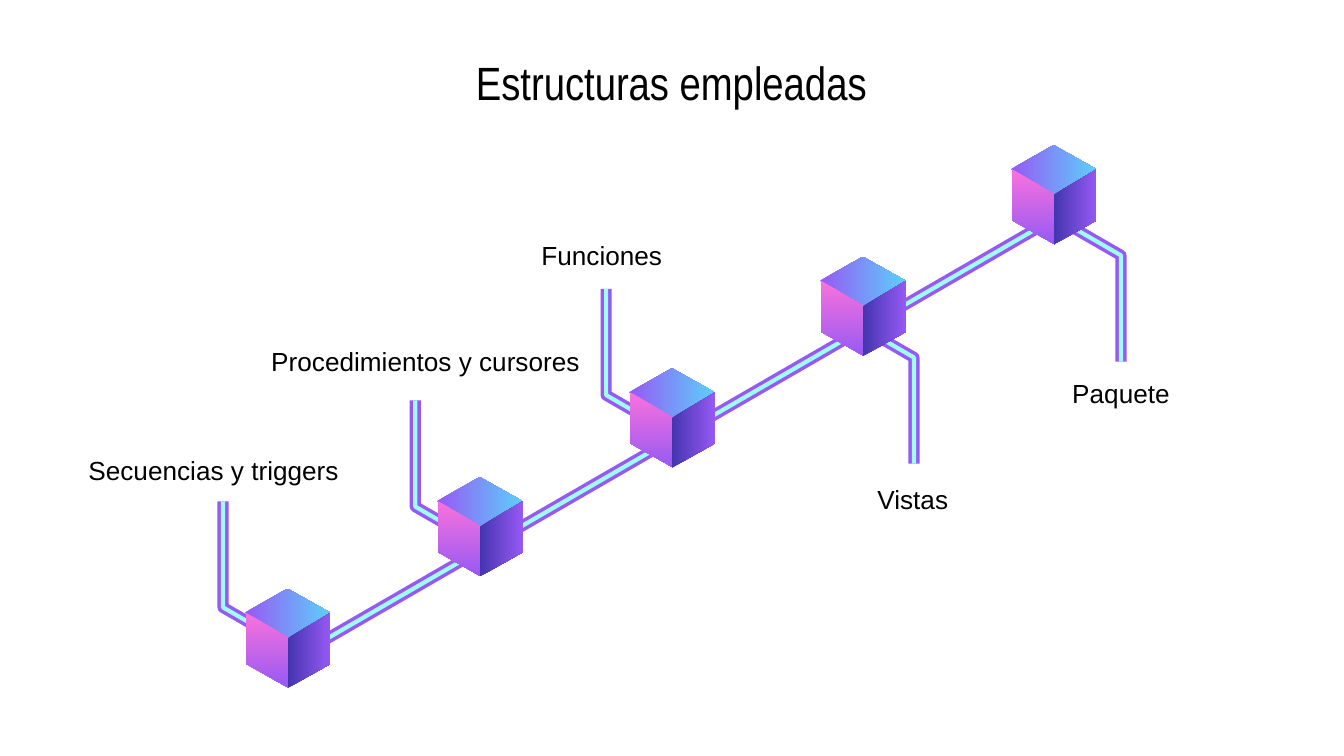
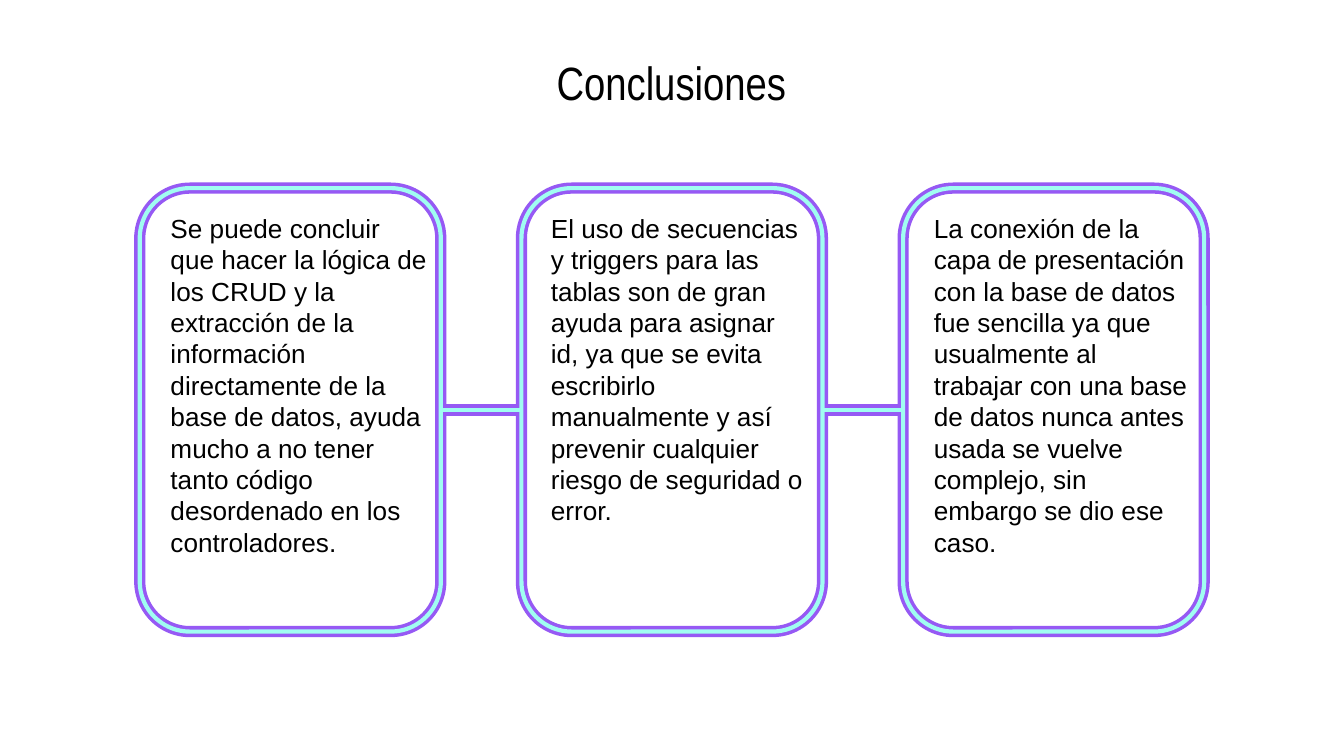
from lxml.etree import SubElement
from pptx import Presentation
from pptx.dml.color import RGBColor
from pptx.enum.shapes import MSO_CONNECTOR, MSO_SHAPE
from pptx.enum.text import MSO_ANCHOR, MSO_AUTO_SIZE, PP_ALIGN
from pptx.oxml.ns import qn
from pptx.util import Inches, Pt

BLACK = RGBColor(0x00, 0x00, 0x00)
PURPLE = RGBColor(0x96, 0x59, 0xF4)
AQUA = RGBColor(0xA0, 0xFD, 0xF1)
SKY = RGBColor(0x5C, 0xCF, 0xFB)
PINK = RGBColor(0xFA, 0x72, 0xDC)
INDIGO = RGBColor(0x43, 0x35, 0xAF)

# A wide purple line with a thin aqua one on top of it
STROKES = [(PURPLE, 6), (AQUA, 2.25)]


def set_stroke(shape, color, width):
    """Give a shape or connector a plain line without a shadow."""
    shape.line.color.rgb = color
    shape.line.width = Pt(width)
    SubElement(shape._element.spPr, qn("a:effectLst"))


def add_text(slide, text, left, top, width, height):
    box = slide.shapes.add_textbox(Inches(left), Inches(top), Inches(width), Inches(height))
    frame = box.text_frame
    frame.word_wrap = True
    frame.auto_size = MSO_AUTO_SIZE.SHAPE_TO_FIT_TEXT
    frame.text = text
    font = frame.paragraphs[0].runs[0].font
    font.name = "Arial"
    font.size = Pt(14)
    font.color.rgb = BLACK


# Widescreen, 16:9
prs = Presentation()
prs.slide_width = Inches(10)
prs.slide_height = Inches(10 * 9 / 16)

for heading in ("Estructuras empleadas", "Conclusiones"):
    title = prs.slides.add_slide(prs.slide_layouts[5]).shapes.title
    title.left, title.top = Inches(0.56), Inches(0.33)
    title.width, title.height = Inches(8.87), Inches(0.56)
    frame = title.text_frame
    frame.text = heading
    frame.auto_size = MSO_AUTO_SIZE.NONE
    frame.vertical_anchor = MSO_ANCHOR.MIDDLE
    frame.margin_left = frame.margin_right = Inches(0.1)
    frame.margin_top = frame.margin_bottom = Inches(0.1)
    paragraph = frame.paragraphs[0]
    paragraph.alignment = PP_ALIGN.CENTER
    font = paragraph.runs[0].font
    font.name = "Arial Narrow"
    font.size = Pt(25)
    font.color.rgb = BLACK

structures, conclusions = prs.slides

# Slide 1: branches, each given by label, label corner, branch corner, direction
BRANCHES = [
    ("Secuencias y triggers", 0.56, 3.33, 1.66, 3.73, "up"),
    ("Procedimientos y cursores", 1.92, 2.52, 3.09, 2.98, "up"),
    ("Funciones", 3.93, 1.73, 4.51, 2.15, "up"),
    ("Vistas", 6.43, 3.55, 6.28, 2.36, "down"),
    ("Paquete", 7.88, 2.76, 7.82, 1.6, "down"),
]
BRANCH_POINTS = {
    "up": [(0.52, 1.09), (0, 0.79), (0, 0)],
    "down": [(0, 0), (0.52, 0.3), (0.52, 1.09)],
}
for label, label_left, label_top, left, top, direction in BRANCHES:
    points = [(Inches(left + x), Inches(top + y)) for x, y in BRANCH_POINTS[direction]]
    for color, width in STROKES:
        builder = structures.shapes.build_freeform(*points[0])
        builder.add_line_segments(points[1:], close=False)
        branch = builder.convert_to_shape()
        branch.fill.background()
        set_stroke(branch, color, width)
    add_text(structures, label, label_left, label_top, 5, 0.34)

for color, width in STROKES:
    trunk = structures.shapes.add_connector(
        MSO_CONNECTOR.STRAIGHT, Inches(7.82), Inches(1.64), Inches(2.09), Inches(4.95))
    set_stroke(trunk, color, width)

# Cube faces around the front corner: points, gradient colours, gradient angle
CUBE_CORNERS = [(2.14, 4.75), (3.57, 3.92), (5, 3.11), (6.42, 2.28), (7.84, 1.45)]
CUBE_FACES = [
    ([(0, 0), (-0.32, -0.19), (0, -0.37), (0.32, -0.19)], (PURPLE, SKY), 0),
    ([(-0.31, -0.19), (-0.31, 0.19), (0.01, 0.37), (0.01, 0)], (PINK, PURPLE), 270),
    ([(0.32, -0.19), (0, 0), (0, 0.37), (0.32, 0.19)], (INDIGO, PURPLE), 0),
]
for corner_x, corner_y in CUBE_CORNERS:
    for offsets, colors, angle in CUBE_FACES:
        points = [(Inches(corner_x + x), Inches(corner_y + y)) for x, y in offsets]
        builder = structures.shapes.build_freeform(*points[0])
        builder.add_line_segments(points[1:])
        face = builder.convert_to_shape()
        face.shadow.inherit = False
        face.line.fill.background()
        face.fill.gradient()
        face.fill.gradient_angle = angle
        for stop, color in zip(face.fill.gradient_stops, colors):
            stop.color.rgb = color

# Slide 2: three linked panels, with the left edge of each text
CONCLUSIONS = [
    (1.17, "Se puede concluir que hacer la lógica de los CRUD y la extracción de la "
           "información directamente de la base de datos, ayuda mucho a no tener tanto "
           "código desordenado en los controladores."),
    (4, "El uso de secuencias y triggers para las tablas son de gran ayuda para asignar "
        "id, ya que se evita escribirlo manualmente y así prevenir cualquier riesgo de "
        "seguridad o error."),
    (6.85, "La conexión de la capa de presentación con la base de datos fue sencilla ya "
           "que usualmente al trabajar con una base de datos nunca antes usada se vuelve "
           "complejo, sin embargo se dio ese caso."),
]
PANEL_TOP, PANEL_WIDTH, PANEL_HEIGHT = 1.4, 2.24, 3.3
PANEL_PITCH = 2.84
panel_lefts = [1.04 + PANEL_PITCH * i for i in range(len(CONCLUSIONS))]
link_y = Inches(PANEL_TOP + PANEL_HEIGHT / 2)

for color, width in STROKES:
    for left in panel_lefts[:-1]:
        link = conclusions.shapes.add_connector(
            MSO_CONNECTOR.STRAIGHT, Inches(left + PANEL_PITCH), link_y,
            Inches(left + PANEL_WIDTH), link_y)
        set_stroke(link, color, width)
    for left in panel_lefts:
        panel = conclusions.shapes.add_shape(
            MSO_SHAPE.ROUNDED_RECTANGLE, Inches(left), Inches(PANEL_TOP),
            Inches(PANEL_WIDTH), Inches(PANEL_HEIGHT))
        panel.fill.background()
        set_stroke(panel, color, width)

for text_left, conclusion in CONCLUSIONS:
    add_text(conclusions, conclusion, text_left, 1.53, 2.11, 2.69)

prs.save("out.pptx")
